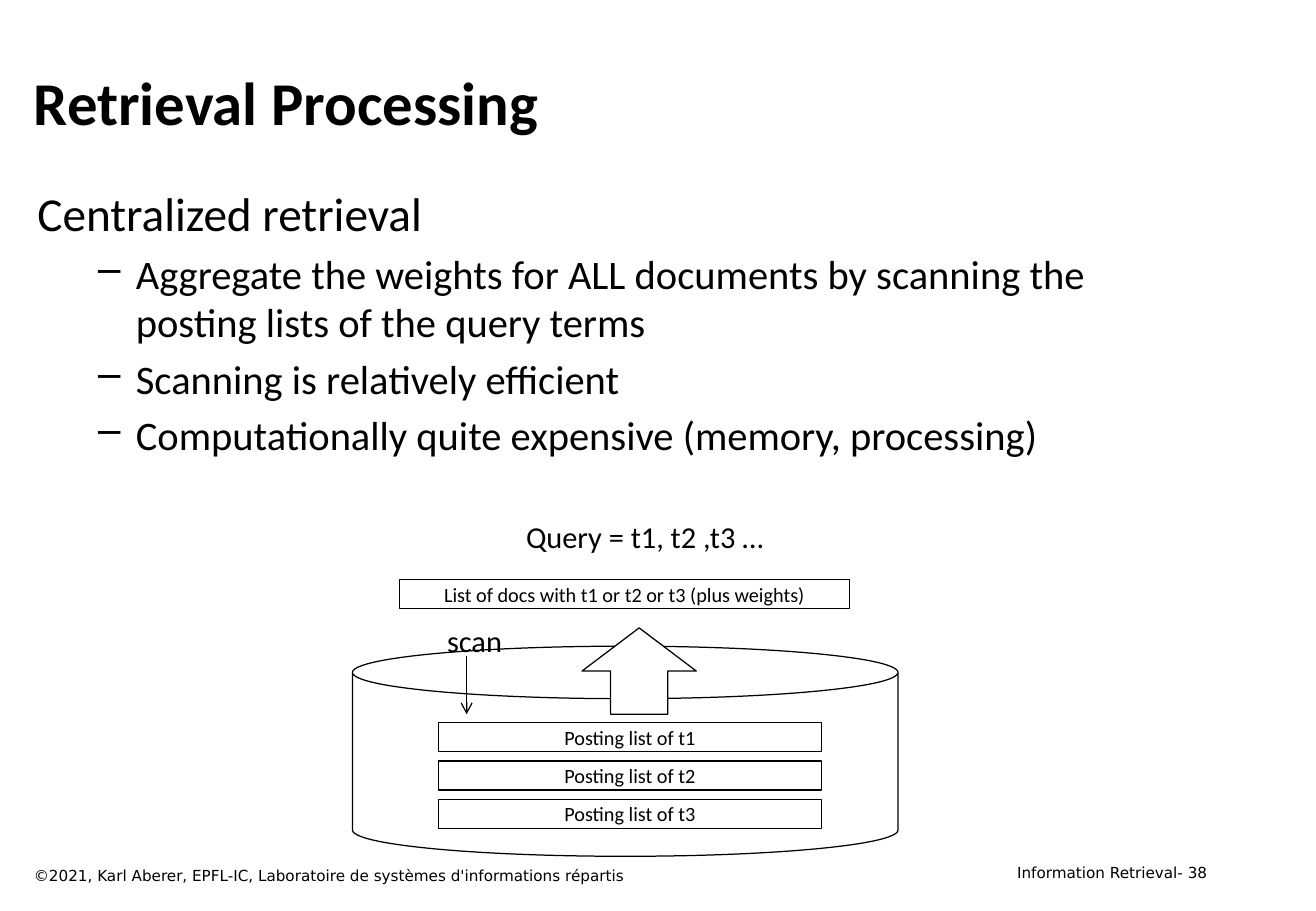
from dataclasses import dataclass

import lxml.etree
import pptx
import pptx.dml.color
import pptx.enum.shapes
import pptx.enum.text
import pptx.oxml.ns
import pptx.util

ALIGN = pptx.enum.text.PP_ALIGN
ANCHOR = pptx.enum.text.MSO_ANCHOR
SHAPE = pptx.enum.shapes.MSO_SHAPE
BLACK = pptx.dml.color.RGBColor(0x00, 0x00, 0x00)
WHITE = pptx.dml.color.RGBColor(0xFF, 0xFF, 0xFF)
BODY_FONT = "Calibri"
FOOTER_FONT = "DejaVu Sans"
WIDTH = pptx.util.Inches(10.83)
HEIGHT = pptx.util.Inches(7.5)
LINE_WIDTH = pptx.util.Pt(0.75)
BULLET_MARGIN = pptx.util.Inches(0.81)
BULLET_HANG = pptx.util.Inches(0.31)


@dataclass(frozen=True)
class Box:
    """A rectangle in percent of the slide's width and height."""
    x: float
    y: float
    w: float
    h: float

    def emu(self) -> tuple[int, int, int, int]:
        return across(self.x), down(self.y), across(self.w), down(self.h)


@dataclass(frozen=True)
class Label:
    text: str
    box: Box
    size: float
    font: str = BODY_FONT
    bold: bool = False
    align: ALIGN = ALIGN.LEFT
    anchor: ANCHOR = ANCHOR.TOP
    wrap: bool = True


@dataclass(frozen=True)
class Figure:
    kind: SHAPE
    box: Box
    text: str = ""
    filled: bool = True


TITLE = Label("Retrieval Processing", Box(1.66, 4.4, 90.86, 13.33), 36,
              bold=True, anchor=ANCHOR.MIDDLE)
FOOTERS = [
    Label("Information Retrieval- 38", Box(71.75, 94.13, 20.87, 3.33), 9,
          FOOTER_FONT, align=ALIGN.RIGHT),
    Label("©2021, Karl Aberer, EPFL-IC, Laboratoire de systèmes d'informations répartis",
          Box(1.66, 94.4, 64.17, 3.33), 9, FOOTER_FONT),
]
HEADING = Label("Centralized retrieval", Box(1.94, 19.6, 90.86, 73.33), 28)
POINTS = [
    "Aggregate the weights for ALL documents by scanning the posting lists of the query terms",
    "Scanning is relatively efficient",
    "Computationally quite expensive (memory, processing)",
]
QUERY = Label("Query = t1, t2 ,t3 …", Box(39.06, 56.27, 20.13, 5.33), 18, wrap=False)
SCAN = Label("scan", Box(33.06, 67.6, 6.09, 5.33), 18, wrap=False)
INDEX = Figure(SHAPE.CAN, Box(26.78, 70.93, 41.46, 23.07), filled=False)
POSTINGS = [
    Figure(SHAPE.RECTANGLE, Box(33.33, 79.33 + 4.2 * i, 29.09, 3.2), f"Posting list of t{i + 1}")
    for i in range(3)
]
RESULT = Figure(SHAPE.RECTANGLE, Box(30.38, 63.6, 34.16, 3.2),
                "List of docs with t1 or t2 or t3 (plus weights)")
UP_ARROW = Figure(SHAPE.UP_ARROW, Box(44.23, 68.93, 8.68, 9.47))
SCAN_X, SCAN_TOP, SCAN_END = 35.46, 72, 78.4


def across(percent: float) -> int:
    return round(WIDTH * percent / 100)


def down(percent: float) -> int:
    return round(HEIGHT * percent / 100)


def style(p, size: float, font: str = BODY_FONT, bold: bool = False) -> None:
    for r in p.runs:
        r.font.size = pptx.util.Pt(size)
        r.font.name = font
        r.font.bold = bold
        r.font.color.rgb = BLACK


def add_label(s, label: Label):
    tf = s.shapes.add_textbox(*label.box.emu()).text_frame
    tf.word_wrap = label.wrap
    tf.vertical_anchor = label.anchor
    if not label.wrap:
        tf.auto_size = pptx.enum.text.MSO_AUTO_SIZE.SHAPE_TO_FIT_TEXT
    tf.text = label.text
    p = tf.paragraphs[0]
    p.alignment = label.align
    style(p, label.size, label.font, label.bold)
    return tf


def add_bullet(tf, text: str) -> None:
    p = tf.add_paragraph()
    p.text = text
    p.level = 1
    p.space_before = pptx.util.Pt(4.5)
    props = p._p.get_or_add_pPr()
    props.set("marL", str(BULLET_MARGIN))
    props.set("indent", str(-BULLET_HANG))
    lxml.etree.SubElement(props, pptx.oxml.ns.qn("a:buChar"), char="–")
    style(p, 24)


def add_figure(s, figure: Figure) -> None:
    sp = s.shapes.add_shape(figure.kind, *figure.box.emu())
    sp.shadow.inherit = False
    sp.line.color.rgb = BLACK
    sp.line.width = LINE_WIDTH
    if figure.filled:
        sp.fill.solid()
        sp.fill.fore_color.rgb = WHITE
    else:
        sp.fill.background()
    if figure.text:
        tf = sp.text_frame
        tf.word_wrap = True
        tf.vertical_anchor = ANCHOR.MIDDLE
        tf.text = figure.text
        tf.paragraphs[0].alignment = ALIGN.CENTER
        style(tf.paragraphs[0], 12)


def add_scan_arrow(s) -> None:
    line = s.shapes.add_connector(
        pptx.enum.shapes.MSO_CONNECTOR.STRAIGHT,
        across(SCAN_X), down(SCAN_TOP), across(SCAN_X), down(SCAN_END))
    line.line.color.rgb = BLACK
    line.line.width = LINE_WIDTH
    lxml.etree.SubElement(line.line._get_or_add_ln(), pptx.oxml.ns.qn("a:tailEnd"), type="arrow")
    lxml.etree.SubElement(line._element.spPr, pptx.oxml.ns.qn("a:effectLst"))


def main() -> None:
    prs = pptx.Presentation()
    prs.slide_width, prs.slide_height = WIDTH, HEIGHT
    s = prs.slides.add_slide(prs.slide_layouts[6])
    add_label(s, TITLE)
    body = add_label(s, HEADING)
    for point in POINTS:
        add_bullet(body, point)
    for footer in FOOTERS:
        add_label(s, footer)
    add_figure(s, INDEX)
    add_label(s, QUERY)
    for posting in POSTINGS:
        add_figure(s, posting)
    add_scan_arrow(s)
    add_figure(s, RESULT)
    add_label(s, SCAN)
    add_figure(s, UP_ARROW)
    prs.save("out.pptx")


if __name__ == "__main__":
    main()
